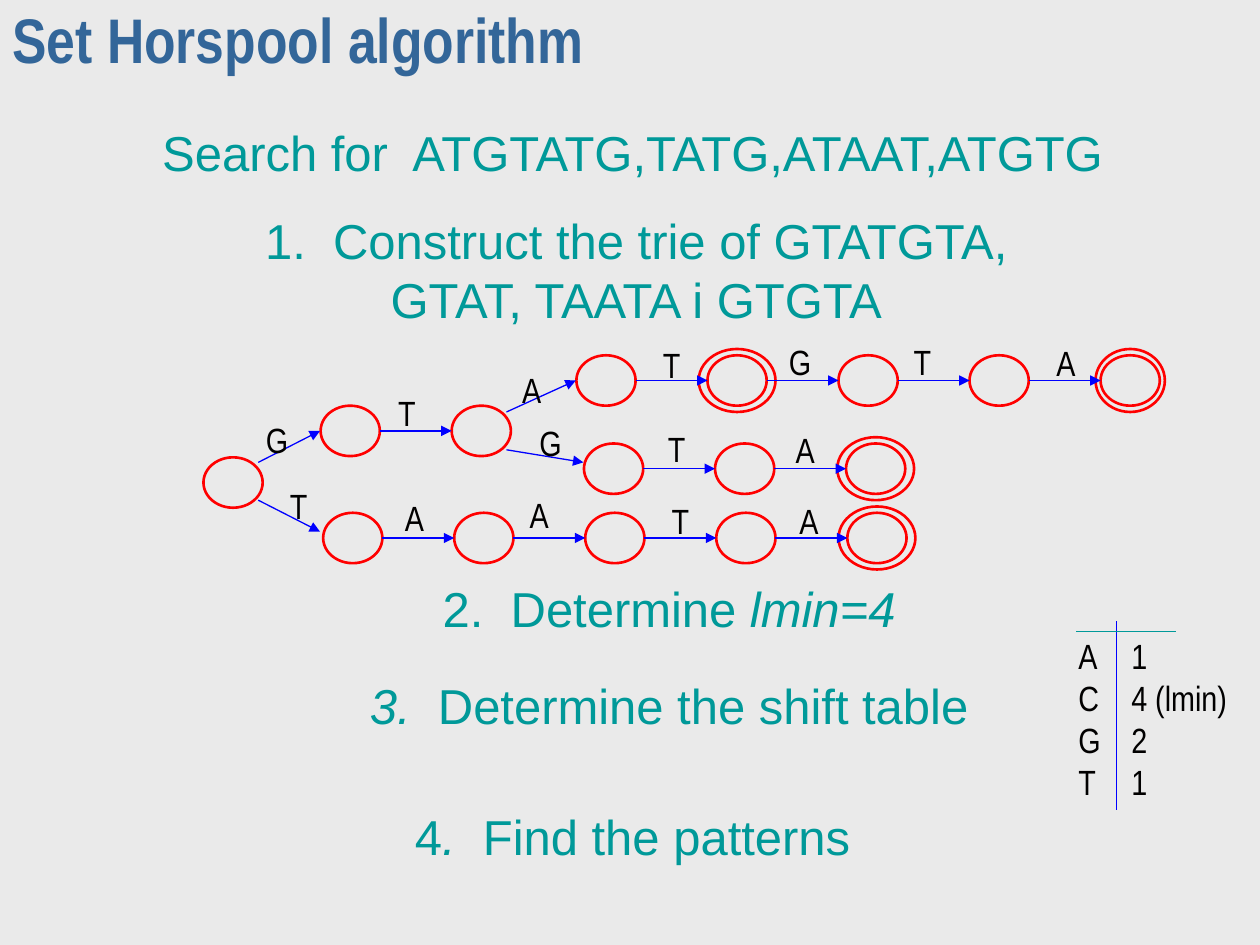
from lxml import etree
from pptx import Presentation
from pptx.dml.color import RGBColor
from pptx.enum.shapes import MSO_CONNECTOR, MSO_SHAPE
from pptx.enum.text import MSO_ANCHOR, PP_ALIGN
from pptx.oxml.ns import qn
from pptx.util import Inches, Pt

OVAL, LINE = MSO_SHAPE.OVAL, MSO_CONNECTOR.STRAIGHT
LEFT, MID = PP_ALIGN.LEFT, PP_ALIGN.CENTER
TOP, CORE = MSO_ANCHOR.TOP, MSO_ANCHOR.MIDDLE
INK = {"back": "EAEAEA", "title": "336699", "step": "009999",
       "text": "010000", "node": "FF0000", "edge": "0000FF"}

deck = Presentation()
deck.slide_width, deck.slide_height = Inches(10), Inches(7.5)
slide = deck.slides.add_slide(deck.slide_layouts[5])
slide.background.fill.solid()
slide.background.fill.fore_color.rgb = RGBColor.from_string(INK["back"])


def write(shape, paras, size=28, font="Arial", ink="step", bold=False,
          align=MID, anchor=TOP, space=None, wrap=True, tab=None):
    """Fill a shape with paragraphs, each a list of (text, italic) runs."""
    frame = shape.text_frame
    frame.word_wrap, frame.vertical_anchor = wrap, anchor
    for i, runs in enumerate(paras):
        para = frame.add_paragraph() if i else frame.paragraphs[0]
        para.alignment, para.line_spacing = align, space
        if tab:
            tabs = etree.SubElement(para._p.get_or_add_pPr(), qn("a:tabLst"))
            etree.SubElement(tabs, qn("a:tab"), pos=str(Inches(tab)), algn="l")
        for text, slant in runs:
            run = para.add_run()
            run.text = text
            run.font.name, run.font.size = font, Pt(size)
            run.font.bold, run.font.italic = bold, slant
            run.font.color.rgb = RGBColor.from_string(INK[ink])


def draw(x1, y1, x2, y2, ink="edge", head=True):
    """Draw a thin line, with an arrowhead at its end if wanted."""
    line = slide.shapes.add_connector(
        LINE, Inches(x1), Inches(y1), Inches(x2), Inches(y2))
    line.line.width = Pt(0.75)
    line.line.color.rgb = RGBColor.from_string(INK[ink])
    if head:
        etree.SubElement(line.line._get_or_add_ln(), qn("a:tailEnd"), type="triangle")
    etree.SubElement(line._element.spPr, qn("a:effectLst"))


# Title
title = slide.shapes.title
title.left, title.top = 0, 0
title.width, title.height = deck.slide_width, Inches(0.75)
write(title, [[("Set Horspool algorithm", False)]], size=36, font="Arial Narrow",
      ink="title", bold=True, align=LEFT, anchor=CORE, space=0.7)

# Steps: centre, top, width, height, paragraphs
steps = [
    (5.02, 0.92, 9.55, 0.57, [[("Search for  ATGTATG,TATG,ATAAT,ATGTG", False)]]),
    (5.05, 1.62, 9.55, 1.04, [[("1.  Construct the trie of GTATGTA,", False)],
                              [("GTAT, TAATA i GTGTA", False)]]),
    (5.31, 4.54, 7.82, 0.57, [[("2.  Determine ", False), ("lmin=4", True)]]),
    (5.31, 5.31, 7.82, 0.57, [[("3.  ", True), ("Determine the shift table", False)]]),
    (5.02, 6.35, 7.82, 0.57, [[("4", False), (".  ", True),
                               ("Find the patterns", False)]]),
]
for mid, top, wide, high, paras in steps:
    box = slide.shapes.add_textbox(
        Inches(mid - wide / 2), Inches(top), Inches(wide), Inches(high))
    write(box, paras)

# Trie rows: centre of first node, row centre, node count, {end node: ring width}
GAP, WIDE, HIGH = 1.04, 0.47, 0.4
rows = [
    (1.85, 3.83, 1, {}),
    (2.78, 3.42, 2, {}),
    (4.81, 3.02, 5, {1: 0.61, 4: 0.55}),
    (4.87, 3.72, 3, {2: 0.61}),
    (2.8, 4.27, 5, {4: 0.61}),
]
for start, y, count, ends in rows:
    for i in range(count):
        x = start + GAP * i
        sizes = [(WIDE, HIGH)]
        if i in ends:
            sizes.append((ends[i], 0.5))
        for wide, high in sizes:
            node = slide.shapes.add_shape(
                OVAL, Inches(x - wide / 2), Inches(y - high / 2),
                Inches(wide), Inches(high))
            node.shadow.inherit = False
            node.fill.background()
            node.line.width = Pt(1.5)
            node.line.color.rgb = RGBColor.from_string(INK["node"])
        if i:
            draw(x - GAP + WIDE / 2, y, x - WIDE / 2, y)

# Branches between rows
for ends in [(2.05, 3.67, 2.54, 3.42), (2.05, 3.97, 2.54, 4.22),
             (4.02, 3.27, 4.57, 3.02), (4.02, 3.57, 4.63, 3.67)]:
    draw(*ends)

# Edge letters by centre
marks = [
    ("G", 2.2, 3.49), ("T", 2.37, 4.01), ("T", 3.23, 3.27),
    ("A", 4.22, 3.09), ("T", 5.33, 2.89), ("G", 6.35, 2.87),
    ("T", 7.32, 2.87), ("A", 8.46, 2.88),
    ("G", 4.37, 3.51), ("T", 5.37, 3.56), ("A", 6.39, 3.57),
    ("A", 3.29, 4.11), ("A", 4.28, 4.08), ("T", 5.4, 4.13), ("A", 6.42, 4.13),
]
for mark, x, y in marks:
    box = slide.shapes.add_textbox(
        Inches(x - 0.19), Inches(y - 0.22), Inches(0.38), Inches(0.44))
    write(box, [[(mark, False)]], size=20, font="Arial Narrow", ink="text",
          anchor=CORE, wrap=False)

# Shift table
shifts = [("A", "1"), ("C", "4 (lmin)"), ("G", "2"), ("T", "1")]
box = slide.shapes.add_textbox(Inches(8.46), Inches(4.99), Inches(1.38), Inches(1.44))
write(box, [[(f"{key}\t{jump}", False)] for key, jump in shifts], size=20,
      font="Arial Narrow", ink="text", align=LEFT, wrap=False, tab=0.42)
draw(8.86, 4.93, 8.86, 6.43, head=False)
draw(8.54, 5.01, 9.33, 5.01, ink="step", head=False)

deck.save("out.pptx")
